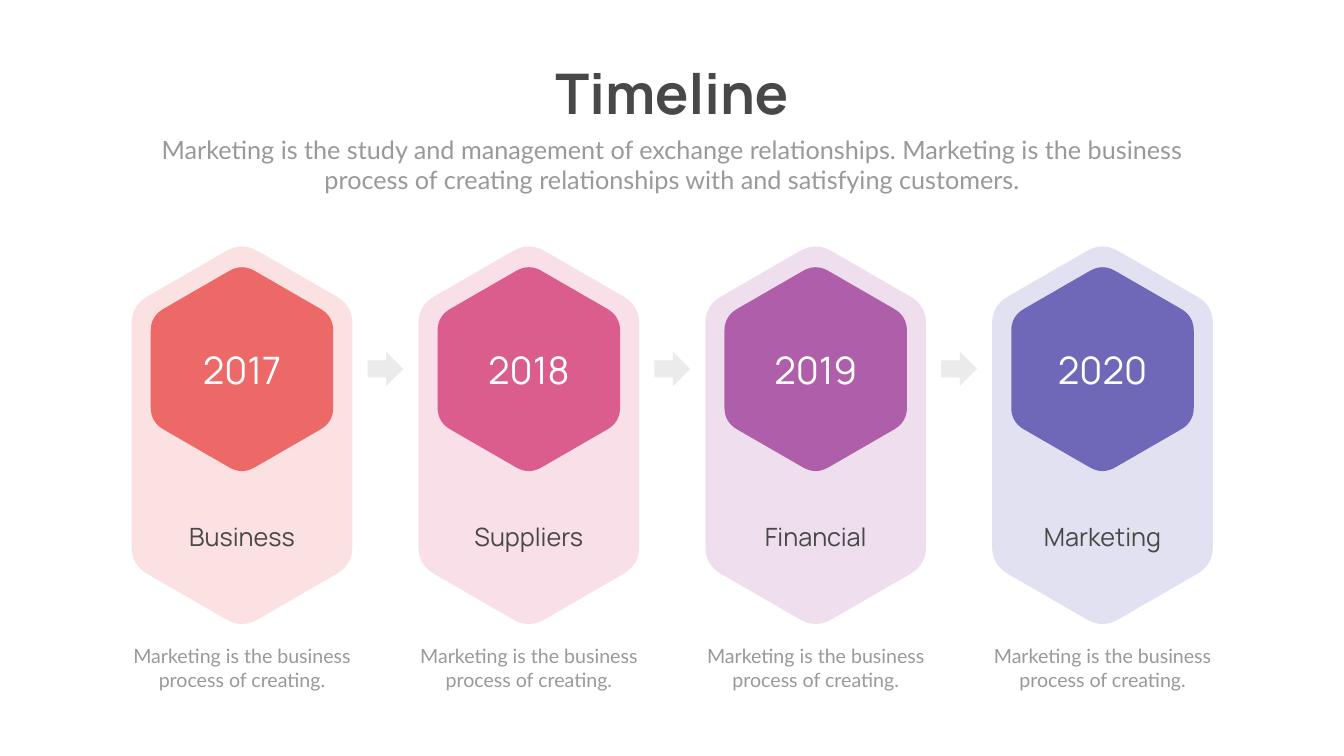
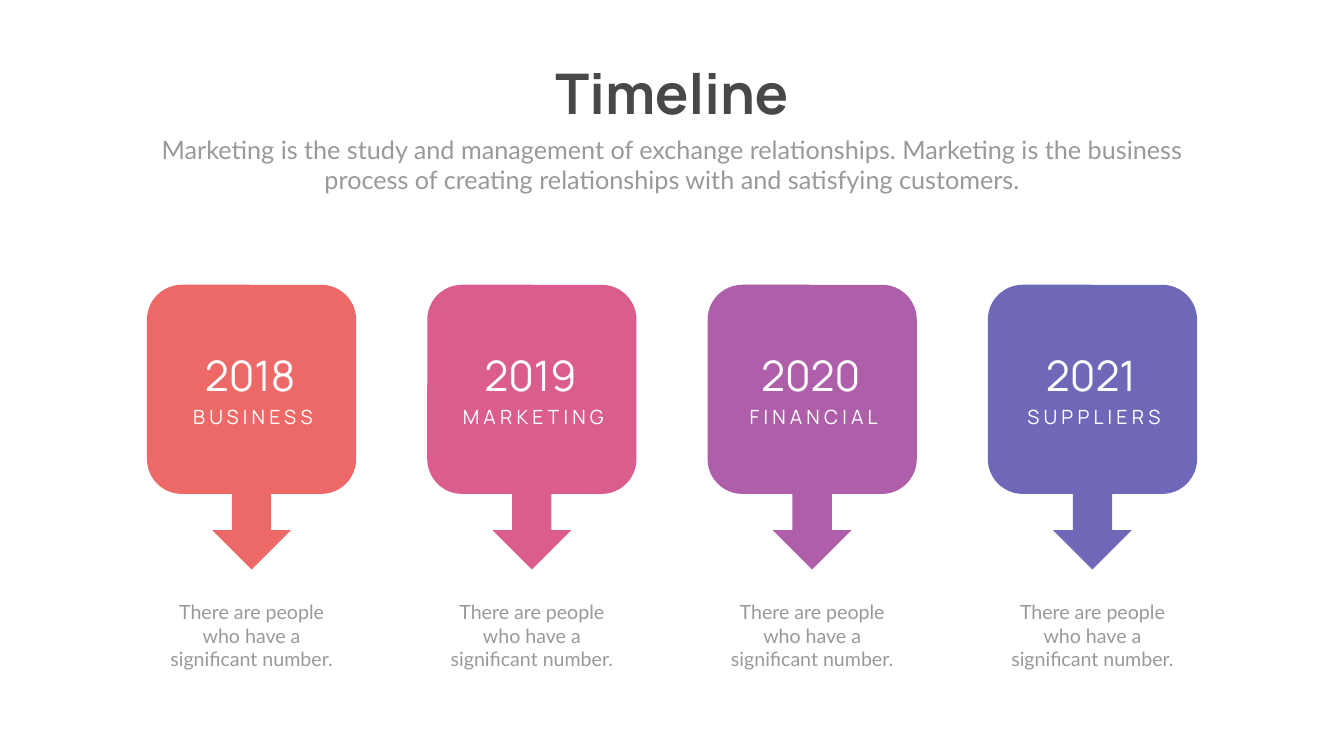
from dataclasses import dataclass
from math import tan, pi

from pptx import Presentation
from pptx import util as u
from pptx.dml.color import RGBColor
from pptx.enum import shapes, text

INTRO = ("Marketing is the study and management of exchange relationships. "
         "Marketing is the business process of creating relationships "
         "with and satisfying customers.")
HEADING = "Timeline"
HEXAGON_STAGES = [("2017", "Business"), ("2018", "Suppliers"),
                  ("2019", "Financial"), ("2020", "Marketing")]
HEXAGON_NOTE = "Marketing is the business process of creating."
CARD_STAGES = [("2018", "BUSINESS"), ("2019", "MARKETING"),
               ("2020", "FINANCIAL"), ("2021", "SUPPLIERS")]
CARD_NOTE = "There are people who have a significant number."


@dataclass(frozen=True)
class Theme:
    """Colours, fonts and type sizes of both slides."""
    accents: tuple = ("EC6968", "DA5D8D", "AF5FAA", "6F68B9")
    ink: str = "484848"
    grey: str = "999999"
    arrow: str = "EBEBEB"
    white: str = "FFFFFF"
    display: str = "Manrope"
    reading: str = "Lato"
    heading: int = 80
    card_year: int = 60
    year: int = 54
    label: int = 36
    note: int = 28


THEME = Theme()
WIDTH, HEIGHT = 26.66, 15
MIDDLE = WIDTH / 2
HEXAGON_CENTRES = [4.8 + 5.69 * column for column in range(4)]
CARD_CENTRES = [MIDDLE + 5.56 * (column - 1.5) for column in range(4)]


def tint(colour, share=0.2):
    """Mix a share of the colour into white."""
    return RGBColor(*(round(255 - (255 - part) * share)
                      for part in RGBColor.from_string(colour)))


def place(part, centre, top, width, height):
    """Centre a part on a column."""
    part.left, part.top = u.Inches(centre - width / 2), u.Inches(top)
    part.width, part.height = u.Inches(width), u.Inches(height)


def write(part, words, size, colour, font=THEME.display, bold=False,
          anchor=text.MSO_ANCHOR.TOP, wrap=True, spacing=0):
    """Fill a part with one centred, formatted paragraph."""
    frame = part.text_frame
    frame.text = words
    frame.auto_size = text.MSO_AUTO_SIZE.NONE
    frame.word_wrap = wrap
    frame.vertical_anchor = anchor
    paragraph = frame.paragraphs[0]
    paragraph.alignment = text.PP_ALIGN.CENTER
    paragraph.space_before = u.Pt(0)
    run = paragraph.runs[0]
    run.font.name, run.font.size, run.font.bold = font, u.Pt(size), bold
    run.font.color.rgb = RGBColor.from_string(colour)
    if spacing:
        run._r.get_or_add_rPr().set("spc", str(spacing * 100))


def add_words(slide, words, centre, top, width, height, size, colour, **style):
    """Add a text box centred on a column."""
    box = slide.shapes.add_textbox(0, 0, 0, 0)
    place(box, centre, top, width, height)
    write(box, words, size, colour, **style)


def paint(part, colour):
    """Give a shape a flat fill without outline or shadow."""
    part.shadow.inherit = False
    part.fill.solid()
    part.fill.fore_color.rgb = colour
    part.line.fill.background()


def add_block(slide, kind, centre, top, width, height, colour):
    """Add a flat preset shape centred on a column."""
    block = slide.shapes.add_shape(kind, 0, 0, 0, 0)
    place(block, centre, top, width, height)
    paint(block, RGBColor.from_string(colour))


def toward(start, end, share):
    """Return the point at a share of the way from start to end."""
    return tuple(a + (b - a) * share for a, b in zip(start, end))


def add_hexagon(slide, centre, top, bottom, half, cut, colour, steps=8):
    """Add an upright hexagon with rounded corners."""
    rise = half * tan(pi / 6)
    left, right = centre - half, centre + half
    corners = [(centre, top), (right, top + rise), (right, bottom - rise),
               (centre, bottom), (left, bottom - rise), (left, top + rise)]
    points = []
    for index, corner in enumerate(corners):
        ends = []
        for other in (corners[index - 1], corners[(index + 1) % 6]):
            length = sum((a - b) ** 2 for a, b in zip(corner, other)) ** 0.5
            ends.append(toward(corner, other, cut / length))
        for step in range(steps + 1):
            share = step / steps
            points.append(toward(toward(ends[0], corner, share),
                                 toward(corner, ends[1], share), share))
    outline = [(u.Inches(x), u.Inches(y)) for x, y in points]
    builder = slide.shapes.build_freeform(*outline[0])
    builder.add_line_segments(outline[1:], close=True)
    paint(builder.convert_to_shape(), colour)


def add_slide(deck):
    """Add a slide with the shared heading and introduction."""
    slide = deck.slides.add_slide(deck.slide_layouts[0])
    heading, intro = slide.placeholders
    place(heading, MIDDLE, 1.12, 5.18, 1.45)
    write(heading, HEADING, THEME.heading, THEME.ink, bold=True, wrap=False)
    place(intro, MIDDLE, 2.61, 20.82, 1.31)
    write(intro, INTRO, THEME.label, THEME.grey, font=THEME.reading)
    return slide


def add_hexagon_timeline(deck):
    """Build the timeline of hexagons joined by arrows."""
    slide = add_slide(deck)
    for centre, accent, (year, label) in zip(HEXAGON_CENTRES, THEME.accents,
                                             HEXAGON_STAGES):
        add_hexagon(slide, centre, 4.8, 12.47, 2.19, 0.36, tint(accent))
        add_hexagon(slide, centre, 5.23, 9.42, 1.81, 0.29,
                    RGBColor.from_string(accent))
        add_words(slide, year, centre, 6.85, 2.51, 0.95, THEME.year,
                  THEME.white, anchor=text.MSO_ANCHOR.MIDDLE)
        add_words(slide, label, centre, 10.3, 3.39, 0.66, THEME.label, THEME.ink)
        add_words(slide, HEXAGON_NOTE, centre, 12.73, 4.69, 1.04,
                  THEME.note, THEME.grey, font=THEME.reading)
    for before, after in zip(HEXAGON_CENTRES, HEXAGON_CENTRES[1:]):
        add_block(slide, shapes.MSO_SHAPE.RIGHT_ARROW, (before + after) / 2,
                  6.98, 0.71, 0.68, THEME.arrow)


def add_card_timeline(deck):
    """Build the timeline of cards pointing down to their notes."""
    slide = add_slide(deck)
    for centre, accent, (year, label) in zip(CARD_CENTRES, THEME.accents,
                                             CARD_STAGES):
        add_block(slide, shapes.MSO_SHAPE.ROUNDED_RECTANGLE, centre,
                  5.65, 4.15, 4.15, accent)
        add_block(slide, shapes.MSO_SHAPE.DOWN_ARROW, centre,
                  8.34, 1.56, 2.96, accent)
        add_words(slide, year, centre - 0.03, 6.88, 3.74, 1.11,
                  THEME.card_year, THEME.white)
        add_words(slide, label, centre + 0.03, 7.99, 3.74, 0.57,
                  THEME.note, THEME.white, spacing=6)
        add_words(slide, CARD_NOTE, centre, 11.86, 3.53, 1.51,
                  THEME.note, THEME.grey, font=THEME.reading)


def main():
    """Build and save both slides."""
    deck = Presentation()
    deck.slide_width, deck.slide_height = u.Inches(WIDTH), u.Inches(HEIGHT)
    add_hexagon_timeline(deck)
    add_card_timeline(deck)
    deck.save("out.pptx")


if __name__ == "__main__":
    main()
